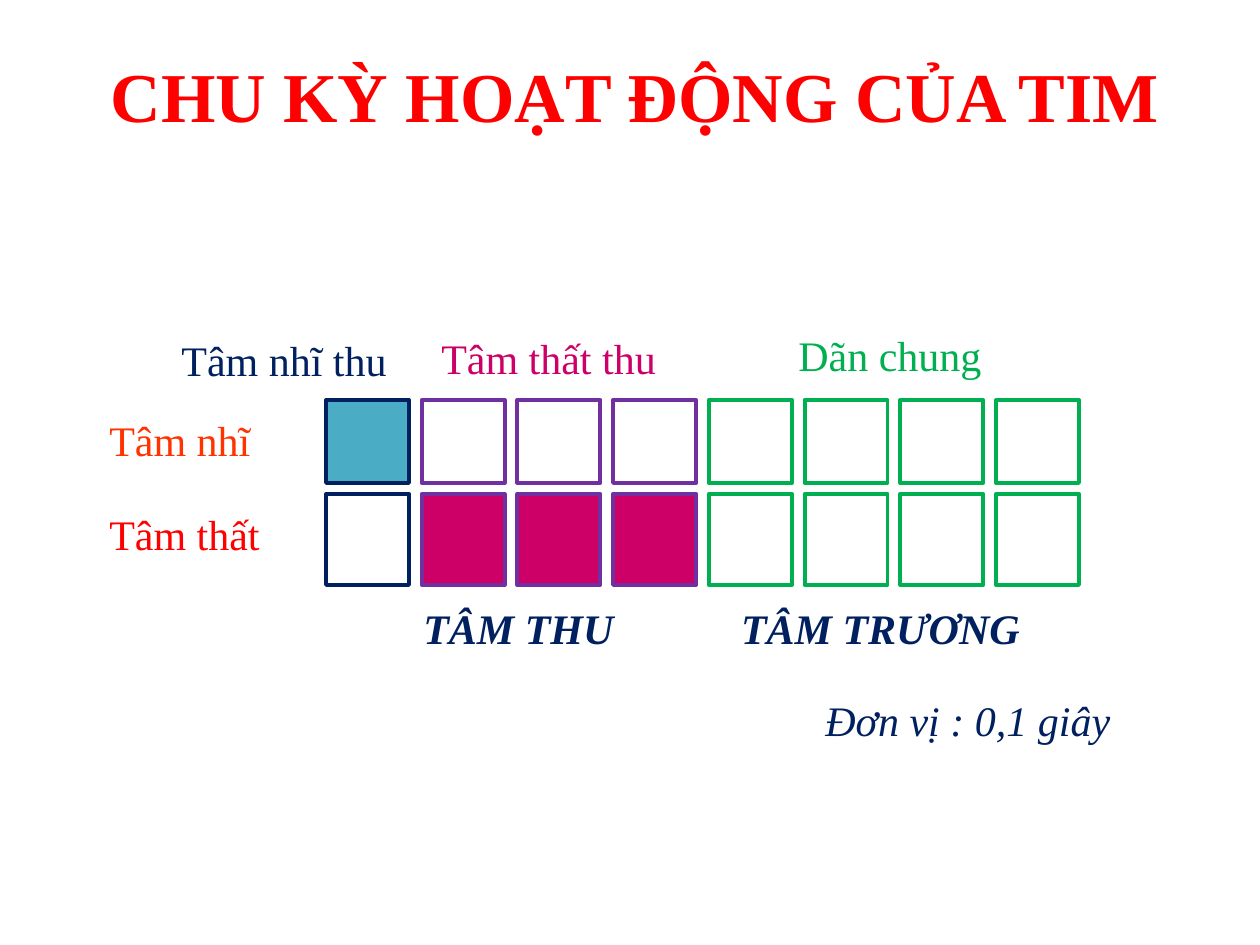
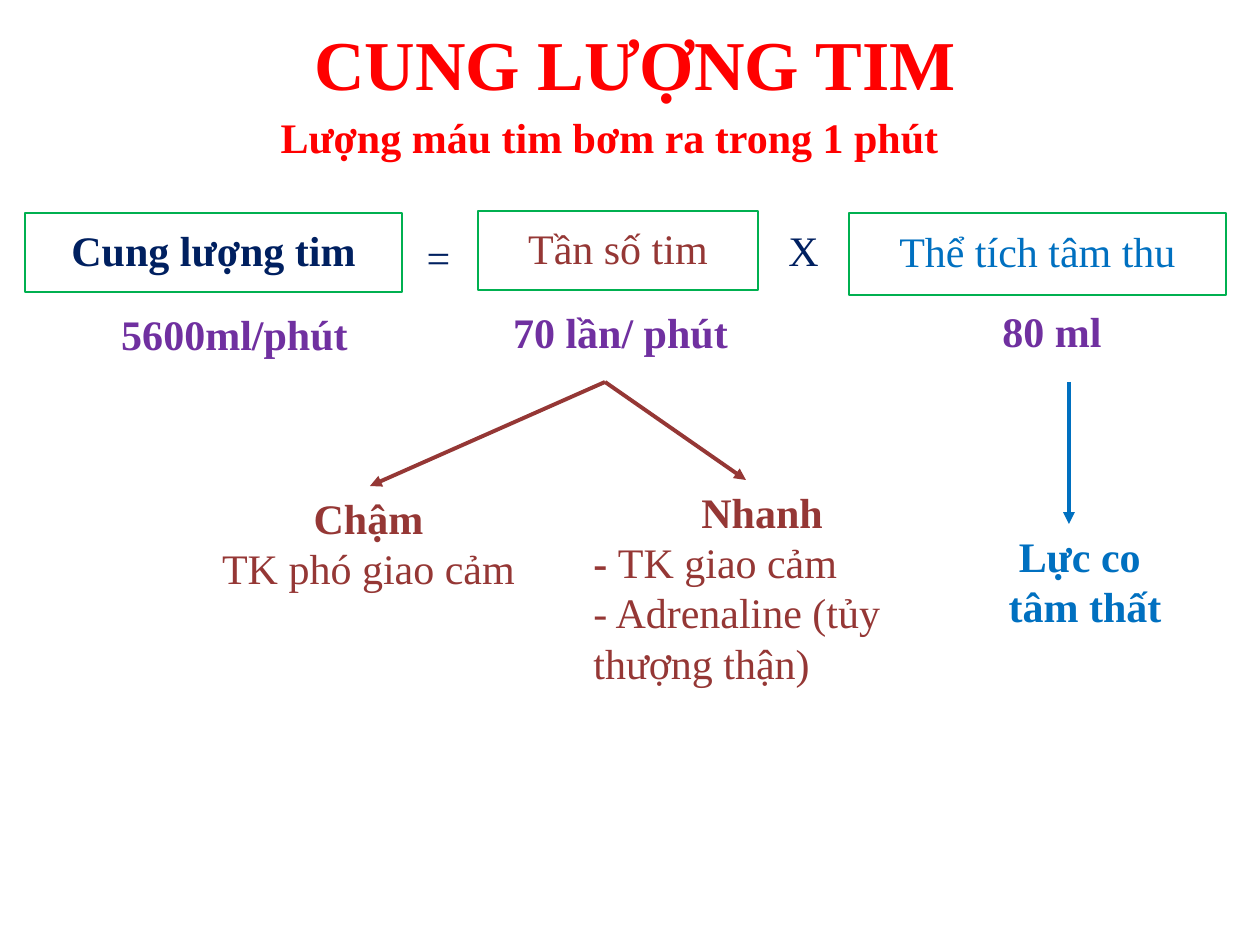
import pptx
import pptx.dml.color
import pptx.enum.shapes
import pptx.enum.text
import pptx.oxml
import pptx.oxml.ns
import pptx.util

RGB = pptx.dml.color.RGBColor
ALIGN = pptx.enum.text.PP_ALIGN
ANCHOR = pptx.enum.text.MSO_ANCHOR
RECTANGLE = pptx.enum.shapes.MSO_SHAPE.RECTANGLE
STRAIGHT = pptx.enum.shapes.MSO_CONNECTOR.STRAIGHT

NAVY = RGB(0x00, 0x20, 0x60)
RED = RGB(0xFF, 0x00, 0x00)
ORANGE = RGB(0xFF, 0x33, 0x00)
MAGENTA = RGB(0xCC, 0x00, 0x66)
PURPLE = RGB(0x70, 0x30, 0xA0)
GREEN = RGB(0x00, 0xB0, 0x50)
TEAL = RGB(0x4B, 0xAC, 0xC6)
BROWN = RGB(0x95, 0x37, 0x35)
BLUE = RGB(0x00, 0x70, 0xC0)
WHITE = RGB(0xFF, 0xFF, 0xFF)

FONT = "Times New Roman"
TITLE_PT, BODY_PT = 40, 24
PX_PER_INCH = 126
SLIDE_SIZE = (1260, 945)
INDENT = 32

# Cardiac cycle: one column per 0.1 s, as (outline, number of columns)
PHASES = [(NAVY, 1), (PURPLE, 3), (GREEN, 4)]
# (top, height, fill, filled columns)
CHAMBERS = [(400, 83, TEAL, range(0, 1)), (494, 91, MAGENTA, range(1, 4))]
FIRST_CELL, LAST_CELL, CELL_WIDTH = 326, 996, 83

# (text, box, colour, style)
CYCLE_LABELS = [
    ("Tâm nhĩ thu", (169, 328, 284, 63), NAVY, {}),
    ("Tâm thất thu", (429, 326, 292, 63), MAGENTA, {}),
    ("Dãn chung", (786, 323, 265, 63), GREEN, {}),
    ("Tâm nhĩ", (97, 408, 213, 63), ORANGE, {}),
    ("Tâm thất", (97, 502, 213, 63), RED, {}),
    ("Đơn vị : 0,1 giây", (813, 688, 365, 63), NAVY, {"italic": True}),
    ("TÂM THU", (336, 596, 365, 63), NAVY,
     {"bold": True, "italic": True, "align": ALIGN.CENTER}),
    ("TÂM TRƯƠNG", (698, 596, 365, 63), NAVY,
     {"bold": True, "italic": True, "align": ALIGN.CENTER}),
]

# Cardiac output = rate x stroke volume
FACTORS = [
    ("Cung lượng tim", (25, 213, 377, 79), NAVY, True),
    ("Tần số tim", (478, 211, 280, 79), BROWN, False),
    ("Thể tích tâm thu", (849, 213, 377, 82), BLUE, False),
]
OPERATORS = [("=", (370, 231, 137, 60)), ("X", (735, 224, 137, 60))]
FIGURES = [
    ("Lượng máu tim bơm ra trong 1 phút", (116, 105, 955, 63), RED),
    ("80 ml", (907, 299, 258, 64), PURPLE),
    ("70 lần/ phút", (452, 300, 305, 64), PURPLE),
    ("5600ml/phút", (66, 302, 305, 64), PURPLE),
]

# Each influence: box, colour, arrow start, arrow end (None: top of the box),
# paragraphs as (alignment, [(text, bold)])
INFLUENCES = [
    ((549, 480, 394, 217), BROWN, (605, 382), None, [
        (ALIGN.CENTER, [("Nhanh", True)]),
        (ALIGN.LEFT, [("- ", True), ("TK giao cảm", False)]),
        (ALIGN.LEFT, [("- Adrenaline (tủy thượng thận)", False)])]),
    ((145, 486, 415, 115), BROWN, (605, 382), (370, 486), [
        (ALIGN.CENTER, [("Chậm", True)]),
        (ALIGN.CENTER, [("TK phó giao cảm", False)])]),
    ((872, 524, 394, 115), BLUE, (1069, 382), None, [
        (ALIGN.CENTER, [("Lực co ", True)]),
        (ALIGN.CENTER, [("tâm thất", True)])]),
]


def px(length):
    return round(length * 914400 / PX_PER_INCH)


def emu(lengths):
    return [px(length) for length in lengths]


def write(shape, paragraphs, color, size=BODY_PT, italic=False, spacing=None,
          indent=0, anchor=ANCHOR.TOP):
    """Fill a shape with paragraphs given as (alignment, [(text, bold)])."""
    frame = shape.text_frame
    frame.word_wrap = True
    frame.vertical_anchor = anchor
    for index, (align, runs) in enumerate(paragraphs):
        paragraph = frame.add_paragraph() if index else frame.paragraphs[0]
        paragraph.alignment = align
        if spacing:
            paragraph.line_spacing = spacing
        if indent:
            properties = paragraph._p.get_or_add_pPr()
            properties.set("marL", str(px(indent)))
            properties.set("indent", "0")
        for text, bold in runs:
            run = paragraph.add_run()
            run.text = text
            run.font.name = FONT
            run.font.size = pptx.util.Pt(size)
            run.font.bold = bold
            run.font.italic = italic
            run.font.color.rgb = color
    return shape


def add_label(slide, text, box, color, bold=False, align=ALIGN.LEFT, **style):
    return write(slide.shapes.add_textbox(*emu(box)),
                 [(align, [(text, bold)])], color, **style)


def add_title(slide, text, top):
    add_label(slide, text, (10, top, 1250, 84), RED, bold=True,
              align=ALIGN.CENTER, size=TITLE_PT, anchor=ANCHOR.MIDDLE)


def add_rectangle(slide, box, outline, weight, fill=None):
    rectangle = slide.shapes.add_shape(RECTANGLE, *emu(box))
    rectangle.shadow.inherit = False
    if fill is None:
        rectangle.fill.background()
    else:
        rectangle.fill.solid()
        rectangle.fill.fore_color.rgb = fill
    rectangle.line.color.rgb = outline
    rectangle.line.width = pptx.util.Pt(weight)
    return rectangle


def add_arrow(slide, start, end, color, target=None):
    arrow = slide.shapes.add_connector(STRAIGHT, *emu(start + end))
    if target is not None:
        arrow.end_connect(target, 0)
    arrow.line.color.rgb = color
    arrow.line.width = pptx.util.Pt(2.25)
    head = pptx.oxml.parse_xml(
        f'<a:tailEnd {pptx.oxml.ns.nsdecls("a")} type="triangle"/>')
    arrow.line._get_or_add_ln().append(head)
    arrow._element.spPr.append(
        pptx.oxml.parse_xml(f'<a:effectLst {pptx.oxml.ns.nsdecls("a")}/>'))


def build_cycle(slide):
    outlines = [color for color, count in PHASES for _ in range(count)]
    pitch = (LAST_CELL - FIRST_CELL) / (len(outlines) - 1)
    for top, height, fill, active in CHAMBERS:
        for column, outline in enumerate(outlines):
            cell = (FIRST_CELL + column * pitch, top, CELL_WIDTH, height)
            add_rectangle(slide, cell, outline, 2.25,
                          fill if column in active else WHITE)
    for text, box, color, style in CYCLE_LABELS:
        add_label(slide, text, box, color, **style)
    add_title(slide, "CHU KỲ HOẠT ĐỘNG CỦA TIM", 53)


def build_output(slide):
    for text, box, color, bold in FACTORS:
        write(add_rectangle(slide, box, GREEN, 0.75),
              [(ALIGN.CENTER, [(text, bold)])], color,
              spacing=0.9, anchor=ANCHOR.MIDDLE)
    for text, box in OPERATORS:
        add_label(slide, text, box, NAVY, align=ALIGN.CENTER, spacing=0.9)
    for text, box, color in FIGURES:
        add_label(slide, text, box, color, bold=True, align=ALIGN.CENTER,
                  indent=INDENT)
    for box, color, start, end, paragraphs in INFLUENCES:
        influence = write(slide.shapes.add_textbox(*emu(box)), paragraphs,
                          color, indent=INDENT)
        left, top, width, _ = box
        if end:
            add_arrow(slide, start, end, color)
        else:
            add_arrow(slide, start, (left + width / 2, top), color, influence)
    add_title(slide, "CUNG LƯỢNG TIM", 21)


def main():
    deck = pptx.Presentation()
    deck.slide_width, deck.slide_height = emu(SLIDE_SIZE)
    for build in (build_cycle, build_output):
        build(deck.slides.add_slide(deck.slide_layouts[6]))
    deck.save("out.pptx")


if __name__ == "__main__":
    main()
